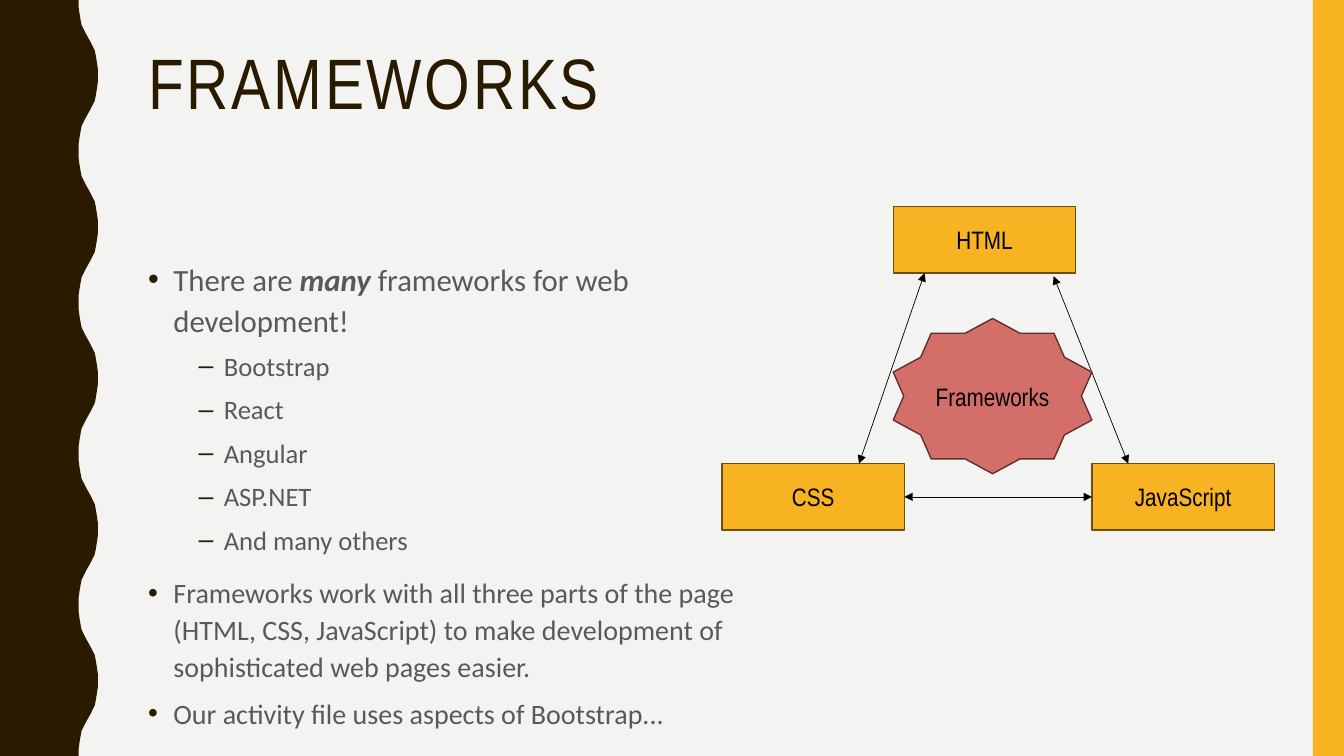
import pptx
import pptx.dml.color
import pptx.enum.shapes
import pptx.enum.text
import pptx.oxml.ns
import pptx.util
from dataclasses import dataclass
from lxml import etree

Inches = pptx.util.Inches
Pt = pptx.util.Pt
Shapes = pptx.enum.shapes.MSO_SHAPE
Anchor = pptx.enum.text.MSO_ANCHOR
Align = pptx.enum.text.PP_ALIGN


@dataclass(frozen=True)
class Theme:
    background: str = "F3F3F2"
    dark: str = "2A1A00"
    accent: str = "F8B323"
    accent_line: str = "6D4E0F"
    star: str = "D36F68"
    star_line: str = "5C312E"
    body: str = "595959"
    black: str = "000000"
    heading_font: str = "Arial Narrow"
    body_font: str = "Calibri"
    title_size: int = 51
    lead_size: int = 22
    item_size: int = 19
    text_size: int = 20
    label_size: int = 18


THEME = Theme()
WIDTH, HEIGHT = 13.33, 7.5
WAVE_LEFT, WAVE_RIGHT, HALF_WAVE = 0.78, 0.97, 0.75
QUARTER_WAVE = [(0, 0), (0, 0.07), (0.01, 0.14), (0.02, 0.2), (0.03, 0.25),
                (0.05, 0.29), (0.07, 0.33)]
BULLETS = [
    (0, THEME.lead_size, 7, [("There are ", False), ("many ", True),
                             ("frameworks for web development!", False)]),
    *[(1, THEME.item_size, 6, [(name, False)])
      for name in ("Bootstrap", "React", "Angular", "ASP.NET", "And many others")],
    (0, THEME.text_size, 12, [("Frameworks work with all three parts of the page (HTML, CSS, "
                               "JavaScript) to make development of sophisticated web pages "
                               "easier.", False)]),
    (0, THEME.text_size, 7, [("Our activity file uses aspects of Bootstrap...", False)]),
]


def color(value):
    return pptx.dml.color.RGBColor.from_string(value)


def add_xml(parent, tag, **attributes):
    return etree.SubElement(parent, pptx.oxml.ns.qn(tag), attributes)


def style_font(font, name, size, value):
    font.name = name
    font.size = Pt(size)
    font.color.rgb = color(value)


def style_shape(shape, fill, line=None):
    shape.shadow.inherit = False
    shape.fill.solid()
    shape.fill.fore_color.rgb = color(fill)
    if line:
        shape.line.color.rgb = color(line)
        shape.line.width = Pt(1)
    else:
        shape.line.fill.background()


def place(shape, left, top, width, height):
    shape.left, shape.top = Inches(left), Inches(top)
    shape.width, shape.height = Inches(width), Inches(height)


def add_wave(slide, left, top, height):
    swing = WAVE_RIGHT - WAVE_LEFT
    rise = QUARTER_WAVE + [(swing / 2, HALF_WAVE / 2)]
    rise += [(swing - x, HALF_WAVE - y) for x, y in reversed(QUARTER_WAVE)]
    points = [(left + WAVE_LEFT, top)]
    for index in range(round(height / HALF_WAVE)):
        for x, y in rise[1:]:
            offset = swing - x if index % 2 else x
            points.append((left + WAVE_LEFT + offset, top + index * HALF_WAVE + y))
    points.append((left, top + height))
    builder = slide.shapes.build_freeform(Inches(left), Inches(top), scale=1.0)
    builder.add_line_segments([(Inches(x), Inches(y)) for x, y in points], close=True)
    style_shape(builder.convert_to_shape(), THEME.dark)


def add_side_bar(slide, left, top, width, height):
    bar = slide.shapes.add_shape(Shapes.RECTANGLE, Inches(left), Inches(top),
                                 Inches(width), Inches(height))
    style_shape(bar, THEME.accent)


def fill_title(title, left, top, width, height):
    place(title, left, top, width, height)
    frame = title.text_frame
    frame.text = "FRAMEWORKS"
    frame.auto_size = pptx.enum.text.MSO_AUTO_SIZE.NONE
    frame.vertical_anchor = Anchor.TOP
    paragraph = frame.paragraphs[0]
    paragraph.alignment = Align.LEFT
    paragraph.line_spacing = 0.9
    run = paragraph.runs[0]
    style_font(run.font, THEME.heading_font, THEME.title_size, THEME.dark)
    run.font._element.set("spc", "200")


def set_bullet(paragraph, level):
    properties = paragraph._p.get_or_add_pPr()
    properties.set("marL", str(Inches(0.25 + 0.5 * level)))
    properties.set("indent", str(Inches(-0.25)))
    add_xml(add_xml(properties, "a:buClr"), "a:srgbClr", val=THEME.dark)
    add_xml(properties, "a:buFont", typeface="Arial")
    add_xml(properties, "a:buChar", char="–" if level else "•")


def fill_body(body, left, top, width, height):
    place(body, left, top, width, height)
    frame = body.text_frame
    frame.auto_size = pptx.enum.text.MSO_AUTO_SIZE.NONE
    frame.vertical_anchor = Anchor.TOP
    for index, (level, size, space, pieces) in enumerate(BULLETS):
        paragraph = frame.add_paragraph() if index else frame.paragraphs[0]
        paragraph.level = level
        paragraph.alignment = Align.LEFT
        paragraph.line_spacing = 1.1
        paragraph.space_before = Pt(space)
        set_bullet(paragraph, level)
        for text, strong in pieces:
            run = paragraph.add_run()
            run.text = text
            style_font(run.font, THEME.body_font, size, THEME.body)
            run.font.bold = run.font.italic = strong


def add_label_shape(slide, kind, text, box, fill, line):
    shape = slide.shapes.add_shape(kind, *[Inches(value) for value in box])
    style_shape(shape, fill, line)
    frame = shape.text_frame
    frame.text = text
    frame.vertical_anchor = Anchor.MIDDLE
    paragraph = frame.paragraphs[0]
    paragraph.alignment = Align.CENTER
    style_font(paragraph.runs[0].font, THEME.heading_font, THEME.label_size, THEME.black)
    return shape


def add_double_arrow(slide, start, end):
    arrow = slide.shapes.add_connector(pptx.enum.shapes.MSO_CONNECTOR.STRAIGHT,
                                       *[Inches(value) for value in (*start, *end)])
    arrow.line.color.rgb = color(THEME.black)
    arrow.line.width = Pt(0.5)
    line = arrow.line._get_or_add_ln()
    add_xml(line, "a:headEnd", type="triangle")
    add_xml(line, "a:tailEnd", type="triangle")
    add_xml(arrow._element.spPr, "a:effectLst")


def add_diagram(slide, left, top, width, height):
    box_width, box_height = 1.81, 0.66
    right = left + width - box_width
    low = top + height - box_height
    middle = low + box_height / 2
    html_left = left + 1.7
    for text, x, y in (("HTML", html_left, top), ("JavaScript", right, low), ("CSS", left, low)):
        add_label_shape(slide, Shapes.RECTANGLE, text, (x, y, box_width, box_height),
                        THEME.accent, THEME.accent_line)
    add_double_arrow(slide, (html_left + 0.31, top + box_height), (left + 1.36, low))
    add_double_arrow(slide, (html_left + 1.59, top + box_height + 0.03), (right + 0.36, low))
    add_double_arrow(slide, (right, middle), (left + box_width, middle))
    star = add_label_shape(slide, Shapes.STAR_10_POINT, "Frameworks",
                           (html_left, top + 1.11, right - html_left, 1.54),
                           THEME.star, THEME.star_line)
    star.text_frame.margin_left = star.text_frame.margin_right = 0


def build_frameworks_slide(presentation):
    slide = presentation.slides.add_slide(presentation.slide_layouts[1])
    slide.background.fill.solid()
    slide.background.fill.fore_color.rgb = color(THEME.background)
    add_wave(slide, 0, 0, HEIGHT)
    add_side_bar(slide, WIDTH - 0.31, 0, 0.31, HEIGHT)
    fill_title(slide.shapes.title, 1.37, 0.42, 11.13, 1.63)
    fill_body(slide.placeholders[1], 1.37, 2.5, 6.34, 4.86)
    add_diagram(slide, 7.16, 2.05, 5.48, 3.21)


def main():
    presentation = pptx.Presentation()
    presentation.slide_width = Inches(WIDTH)
    presentation.slide_height = Inches(HEIGHT)
    build_frameworks_slide(presentation)
    presentation.save("out.pptx")


if __name__ == "__main__":
    main()
